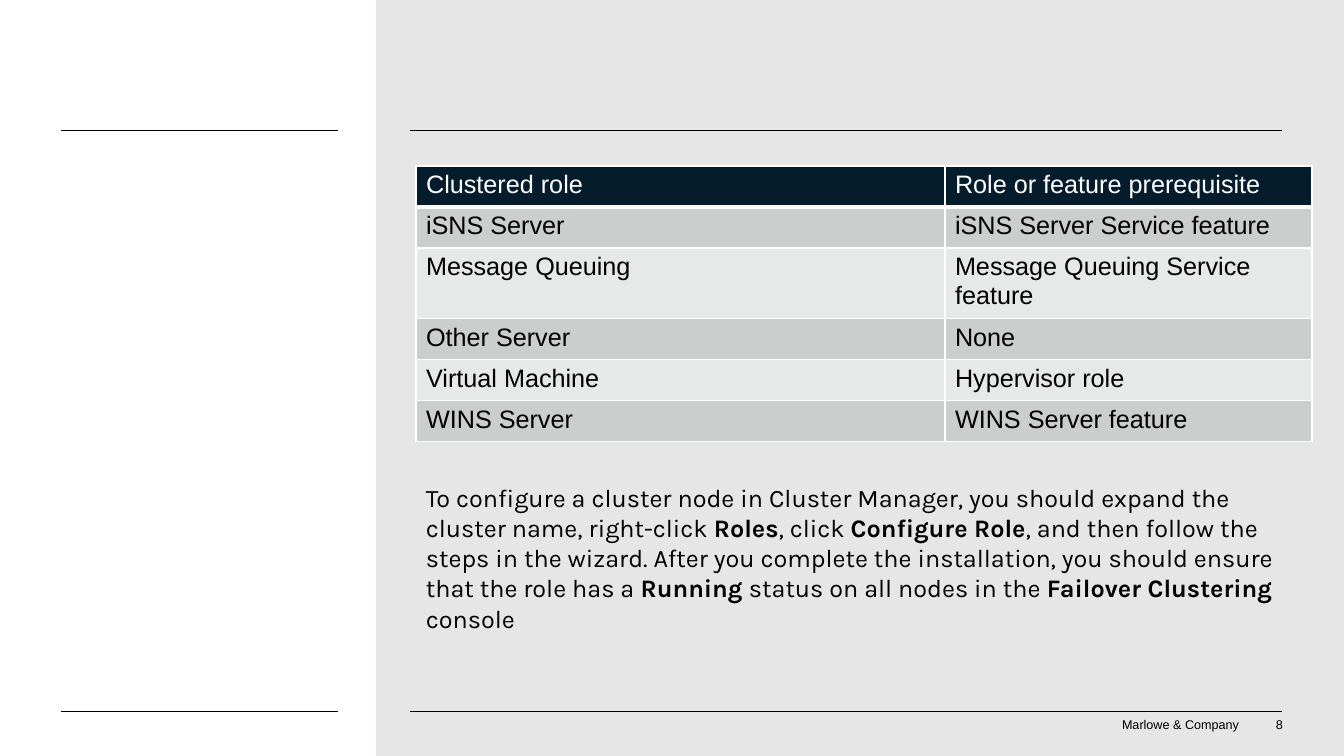
import pptx
import pptx.util
import pptx.dml.color
import pptx.enum.shapes
import pptx.enum.text
import pptx.oxml
import pptx.oxml.ns

EMU_PER_PX = 914400 / 100.8
COLORS = {
    "panel": "E6E6E6",
    "header": "051C2C",
    "band_dark": "CCCDCD",
    "band_light": "E7E8E8",
    "white": "FFFFFF",
    "black": "000000",
}
ROLES = [
    ("Clustered role", "Role or feature prerequisite"),
    ("iSNS Server", "iSNS Server Service feature"),
    ("Message Queuing", "Message Queuing Service feature"),
    ("Other Server", "None"),
    ("Virtual Machine", "Hypervisor role"),
    ("WINS Server", "WINS Server feature"),
]
INSTRUCTIONS = [
    ("To configure a cluster node in Cluster Manager, you should expand the "
     "cluster name, right-click ", False),
    ("Roles", True),
    (", click ", False),
    ("Configure Role", True),
    (", and then follow the steps in the wizard. After you complete the "
     "installation, you should ensure that the role has a ", False),
    ("Running ", True),
    ("status on all nodes in the ", False),
    ("Failover Clustering ", True),
    ("console", False),
]
ALIGN = pptx.enum.text.PP_ALIGN


def px(value):
    return pptx.util.Emu(round(value * EMU_PER_PX))


def color(name):
    return pptx.dml.color.RGBColor.from_string(COLORS[name])


def style_font(font, name, size, color_name):
    font.name = name
    font.size = pptx.util.Pt(size)
    font.color.rgb = color(color_name)


def add_panel(slide, left, top, width, height):
    panel = slide.shapes.add_shape(
        pptx.enum.shapes.MSO_SHAPE.RECTANGLE, px(left), px(top), px(width), px(height))
    panel.shadow.inherit = False
    panel.fill.solid()
    panel.fill.fore_color.rgb = color("panel")
    panel.line.fill.background()


def add_rule(slide, left, top, width):
    rule = slide.shapes.add_connector(
        pptx.enum.shapes.MSO_CONNECTOR.STRAIGHT,
        px(left), px(top), px(left + width), px(top))
    rule.line.color.rgb = color("black")
    rule.line.width = pptx.util.Pt(0.5)
    rule._element.spPr.append(pptx.oxml.parse_xml(
        f"<a:effectLst {pptx.oxml.ns.nsdecls('a')}/>"))


def add_footer_text(slide, text, left, top, width, height, alignment):
    box = slide.shapes.add_textbox(px(left), px(top), px(width), px(height))
    frame = box.text_frame
    frame.margin_left = frame.margin_top = frame.margin_right = frame.margin_bottom = 0
    frame.vertical_anchor = pptx.enum.text.MSO_ANCHOR.BOTTOM
    frame.word_wrap = False
    paragraph = frame.paragraphs[0]
    paragraph.text = text
    paragraph.alignment = alignment
    style_font(paragraph.font, "Arial", 9, "black")


def add_footer(slide, left, top, width, height):
    number_width = 36
    add_footer_text(slide, "Marlowe & Company", left, top, 125, height, ALIGN.CENTER)
    add_footer_text(slide, "8", left + width - number_width, top,
                    number_width, height, ALIGN.RIGHT)


def set_borders(cell, bottom_points):
    properties = cell._tc.get_or_add_tcPr()
    widths = {"lnL": 1, "lnR": 1, "lnT": 1, "lnB": bottom_points}
    for position, (side, points) in enumerate(widths.items()):
        properties.insert(position, pptx.oxml.parse_xml(
            f'<a:{side} {pptx.oxml.ns.nsdecls("a")} w="{pptx.util.Pt(points)}">'
            f'<a:solidFill><a:srgbClr val="{COLORS["white"]}"/></a:solidFill>'
            f'</a:{side}>'))


def add_roles_table(slide, left, top, width, height):
    table = slide.shapes.add_table(
        len(ROLES), 2, px(left), px(top), px(width), px(height)).table
    role_width = 529
    table.columns[0].width = px(role_width)
    table.columns[1].width = px(width - role_width)
    for row_index, row in enumerate(ROLES):
        is_header = row_index == 0
        band = "band_dark" if row_index % 2 else "band_light"
        for column_index, text in enumerate(row):
            cell = table.cell(row_index, column_index)
            cell.fill.solid()
            cell.fill.fore_color.rgb = color("header" if is_header else band)
            set_borders(cell, 3 if is_header else 1)
            paragraph = cell.text_frame.paragraphs[0]
            paragraph.text = text
            paragraph.font.bold = False
            style_font(paragraph.font, "Arial", 18, "white" if is_header else "black")


def add_instructions(slide, left, top, width, height):
    box = slide.shapes.add_textbox(px(left), px(top), px(width), px(height))
    frame = box.text_frame
    frame.word_wrap = True
    frame.auto_size = pptx.enum.text.MSO_AUTO_SIZE.SHAPE_TO_FIT_TEXT
    paragraph = frame.paragraphs[0]
    style_font(paragraph.font, "Karla", 18, "black")
    for text, bold in INSTRUCTIONS:
        run = paragraph.add_run()
        run.text = text
        run.font.bold = bold


def main():
    presentation = pptx.Presentation()
    presentation.slide_width = px(1344)
    presentation.slide_height = px(756)
    slide = presentation.slides.add_slide(presentation.slide_layouts[6])
    add_panel(slide, 376, 0, 968, 756)
    add_footer(slide, 1118, 717, 165, 15)
    for top in (711, 130):
        add_rule(slide, 410, top, 872)
        add_rule(slide, 61, top, 277)
    add_roles_table(slide, 416, 166, 896, 246)
    add_instructions(slide, 416, 477, 896, 132)
    presentation.save("out.pptx")


if __name__ == "__main__":
    main()
